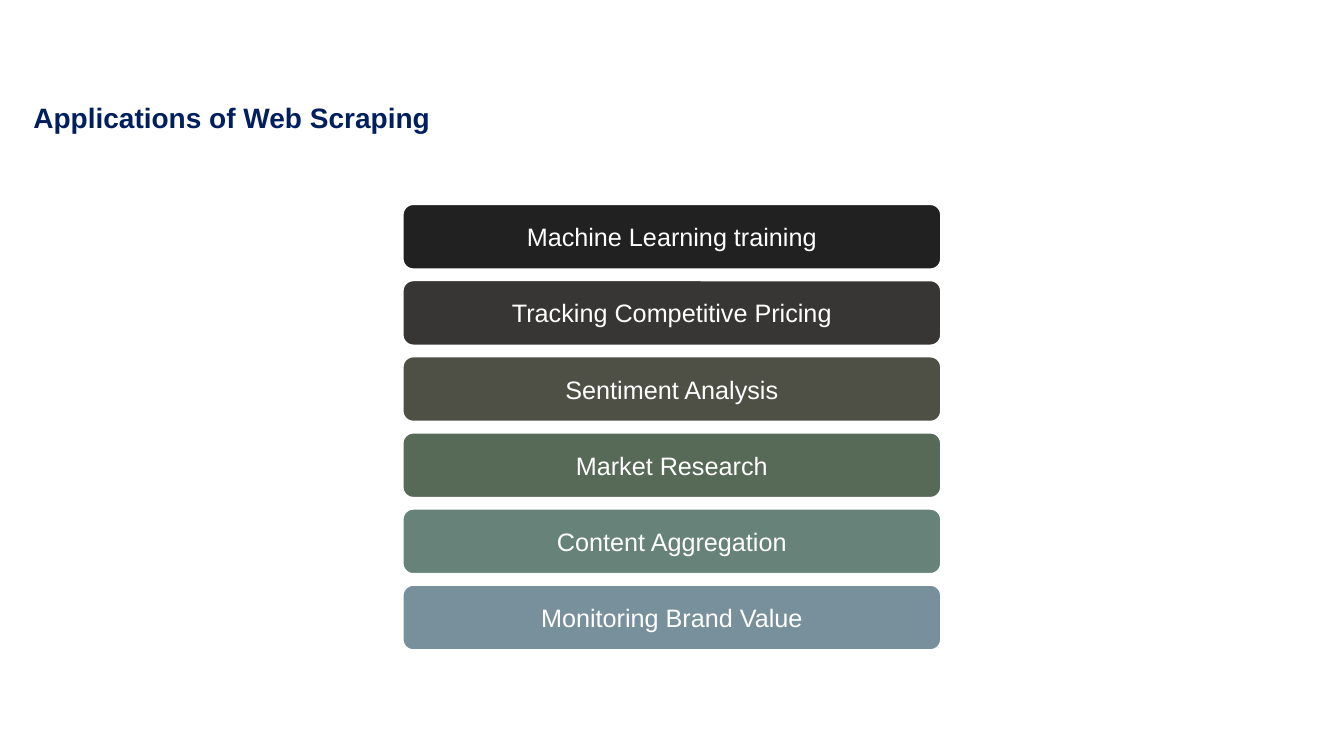
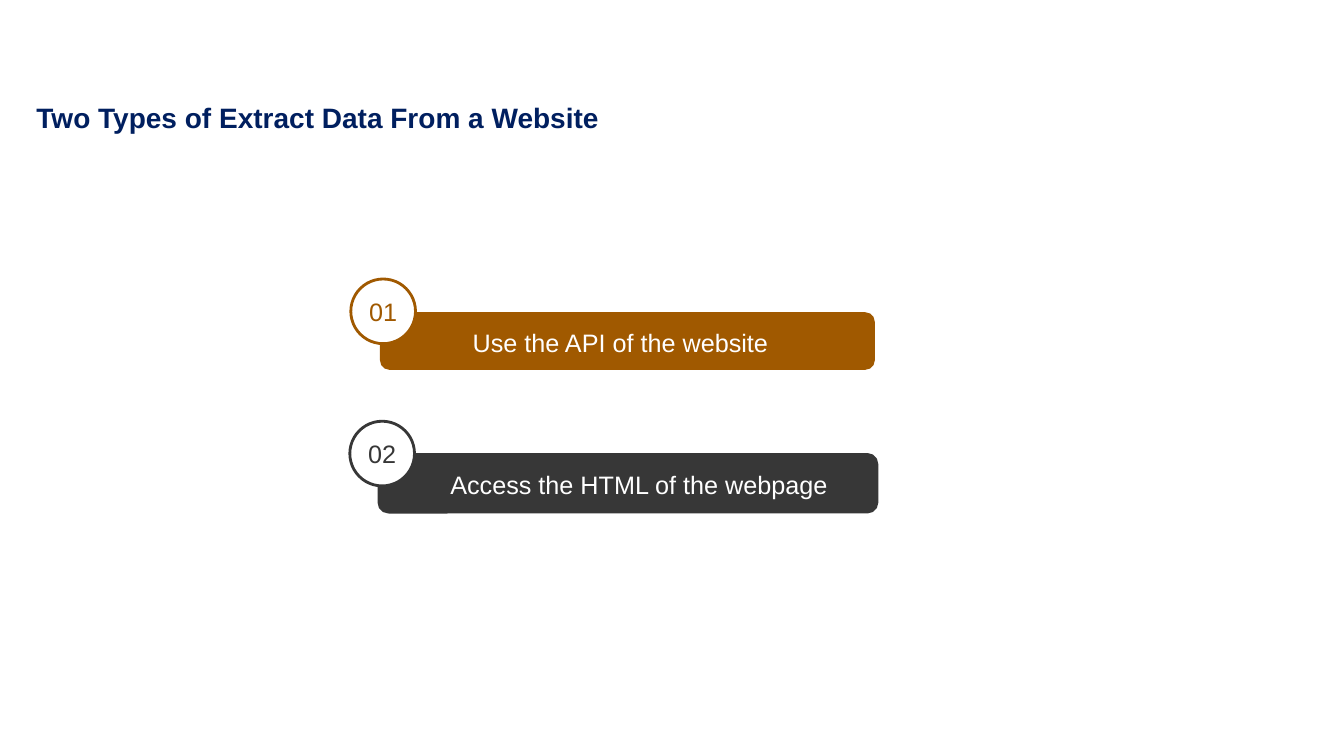
"""Build two slides on the uses and types of web scraping."""
from pptx import Presentation
from pptx.dml.color import RGBColor
from pptx.enum.shapes import MSO_SHAPE
from pptx.enum.text import MSO_ANCHOR, MSO_AUTO_SIZE, PP_ALIGN
from pptx.util import Pt

NAVY = RGBColor(0x00, 0x1F, 0x5F)
WHITE = RGBColor(0xFF, 0xFF, 0xFF)
BROWN = RGBColor(0xA0, 0x59, 0x00)
GREY = RGBColor(0x37, 0x37, 0x37)
USES = [
    ("Machine Learning training", RGBColor(0x21, 0x21, 0x21)),
    ("Tracking Competitive Pricing", RGBColor(0x38, 0x36, 0x34)),
    ("Sentiment Analysis", RGBColor(0x4E, 0x50, 0x46)),
    ("Market Research", RGBColor(0x57, 0x69, 0x57)),
    ("Content Aggregation", RGBColor(0x67, 0x83, 0x79)),
    ("Monitoring Brand Value", RGBColor(0x78, 0x90, 0x9C)),
]
TYPES = [
    ("Use the API of the website", BROWN, 271.4, 353.5, 64.2, 0),
    ("Access the HTML of the webpage", GREY, 270.7, 355.7, 49, 2),
]
FRAME = {
    "margin_left": 0, "margin_top": 0, "margin_right": 0, "margin_bottom": 0,
    "word_wrap": True, "auto_size": MSO_AUTO_SIZE.NONE,
}
HEAD = {"name": "Arial", "size": Pt(20), "bold": True}
LABEL = {"name": "Arial", "size": Pt(18), "bold": False}


def write(shape, text, color, font, align, anchor):
    """Put styled text in a shape."""
    frame = shape.text_frame
    frame.text = text
    para = frame.paragraphs[0]
    para.alignment = align
    para.font.color.rgb = color
    for item, values in ((frame, FRAME), (para.font, font)):
        for key, value in values.items():
            setattr(item, key, value)
    frame.vertical_anchor = anchor


def draw(slide, kind, box, fill, line, width):
    """Add a filled shape, with a line if it has a width."""
    shape = slide.shapes.add_shape(kind, *[Pt(n) for n in box])
    shape.shadow.inherit = False
    shape.fill.solid()
    shape.fill.fore_color.rgb = fill
    if width:
        shape.line.color.rgb = line
        shape.line.width = Pt(width)
    else:
        shape.line.fill.background()
    return shape


deck = Presentation()
deck.slide_width, deck.slide_height = Pt(960), Pt(540)

pages = []
for text, left in (
    ("Applications of Web Scraping", 23.8),
    ("Two Types of Extract Data From a Website", 26),
):
    page = deck.slides.add_slide(deck.slide_layouts[5])
    title = page.shapes.title
    title.left, title.top, title.width, title.height = (
        Pt(left), Pt(72), Pt(500), Pt(26))
    write(title, text, NAVY, HEAD, PP_ALIGN.LEFT, MSO_ANCHOR.TOP)
    pages.append(page)
first, second = pages

for row, (text, color) in enumerate(USES):
    box = (287.3, 145.5 + 54.4 * row, 385.2, 47.2)
    bar = draw(first, MSO_SHAPE.ROUNDED_RECTANGLE, box, color, WHITE, 2)
    write(bar, text, WHITE, LABEL, PP_ALIGN.CENTER, MSO_ANCHOR.MIDDLE)

for row, (text, color, left, width, inset, edge) in enumerate(TYPES):
    top = 223 + 101.6 * row
    bar = draw(second, MSO_SHAPE.ROUNDED_RECTANGLE,
               (left, top, width, 41.2), color, color, edge)
    write(bar, text, WHITE, LABEL, PP_ALIGN.LEFT, MSO_ANCHOR.MIDDLE)
    bar.text_frame.margin_left = Pt(inset)
    bar.text_frame.margin_top = Pt(2)
    disc = draw(second, MSO_SHAPE.OVAL,
                (left - 20.8, top - 23.7, 46.2, 46.2), WHITE, color, 2)
    write(disc, f"{row + 1:02}", color, LABEL, PP_ALIGN.CENTER, MSO_ANCHOR.MIDDLE)

deck.save("out.pptx")
